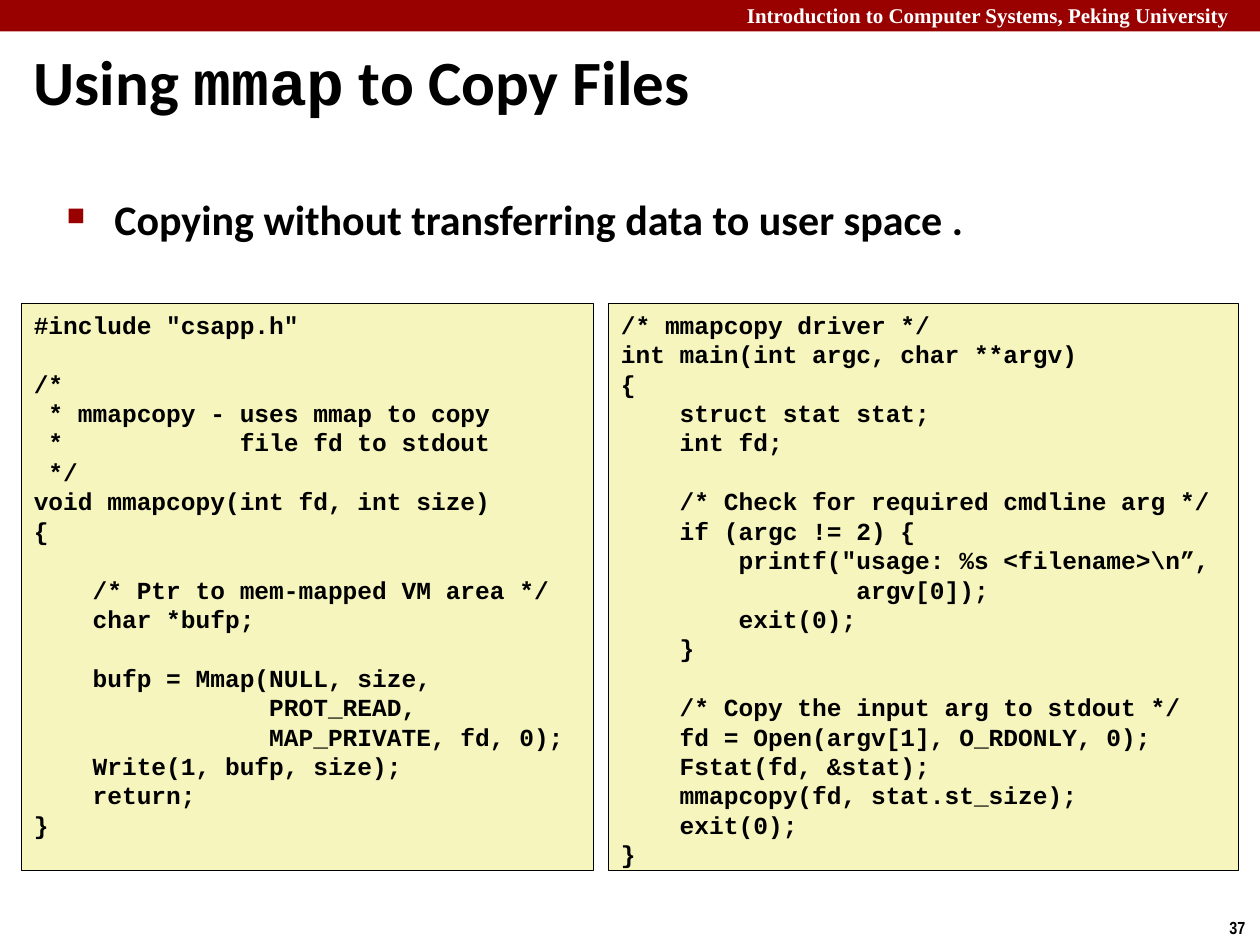
from lxml import etree
from pptx import Presentation
from pptx.dml.color import RGBColor
from pptx.enum.shapes import MSO_SHAPE
from pptx.enum.text import MSO_ANCHOR, MSO_AUTO_SIZE, PP_ALIGN
from pptx.oxml.ns import qn
from pptx.util import Inches, Pt

RECT = MSO_SHAPE.RECTANGLE
TOP, MIDDLE = MSO_ANCHOR.TOP, MSO_ANCHOR.MIDDLE
GROW = MSO_AUTO_SIZE.SHAPE_TO_FIT_TEXT
LEFT = PP_ALIGN.LEFT

RED = RGBColor(0x99, 0x00, 0x00)
CREAM = RGBColor(0xF6, 0xF5, 0xBD)
BLACK = RGBColor(0, 0, 0)
WHITE = RGBColor(0xFF, 0xFF, 0xFF)

SANS, MONO = "Calibri", "Courier New"

COPY = r"""#include "csapp.h"

/*
 * mmapcopy - uses mmap to copy
 *            file fd to stdout
 */
void mmapcopy(int fd, int size)
{

    /* Ptr to mem-mapped VM area */
    char *bufp;

    bufp = Mmap(NULL, size,
                PROT_READ,
                MAP_PRIVATE, fd, 0);
    Write(1, bufp, size);
    return;
}"""

DRIVER = r"""/* mmapcopy driver */
int main(int argc, char **argv)
{
    struct stat stat;
    int fd;

    /* Check for required cmdline arg */
    if (argc != 2) {
        printf("usage: %s <filename>\n”,
                argv[0]);
        exit(0);
    }

    /* Copy the input arg to stdout */
    fd = Open(argv[1], O_RDONLY, 0);
    Fstat(fd, &stat);
    mmapcopy(fd, stat.st_size);
    exit(0);
}"""


class Deck:
    def __init__(self):
        self.prs = Presentation()
        self.prs.slide_width = Inches(10)
        self.prs.slide_height = Inches(7.5)
        self.slide = self.prs.slides.add_slide(self.prs.slide_layouts[6])

    def rect(self, x, y, w, h, fill, line=None):
        box = self.slide.shapes.add_shape(
            RECT, Inches(x), Inches(y), Inches(w), Inches(h))
        box.shadow.inherit = False
        box.fill.solid()
        box.fill.fore_color.rgb = fill
        if line is None:
            box.line.fill.background()
        else:
            box.line.color.rgb = line
            box.line.width = Pt(0.75)
        return box

    def text(self, x, y, w, h, runs, size, color=BLACK, **frame):
        box = self.slide.shapes.add_textbox(
            Inches(x), Inches(y), Inches(w), Inches(h))
        for key, value in {"word_wrap": True, **frame}.items():
            setattr(box.text_frame, key, value)
        para = box.text_frame.paragraphs[0]
        for words, face in runs:
            self.run(para, words, face, size, color)
        return para

    def run(self, para, words, face, size, color=BLACK):
        run = para.add_run()
        run.text = words
        style = {"name": face, "size": Pt(size), "bold": True}
        for key, value in style.items():
            setattr(run.font, key, value)
        run.font.color.rgb = color

    def hang(self, para, depth):
        props = para._p.get_or_add_pPr()
        props.set("marL", str(Inches(depth)))
        props.set("indent", str(-Inches(depth)))
        return props

    def bullet(self, para, mark, color, scale):
        props = self.hang(para, 0.38)
        tint = etree.SubElement(props, qn("a:buClr"))
        etree.SubElement(tint, qn("a:srgbClr"), val=str(color))
        etree.SubElement(props, qn("a:buSzPct"), val=str(scale * 1000))
        etree.SubElement(props, qn("a:buChar"), char=mark)

    def code(self, x, y, w, h, source, size=14):
        frame = self.rect(x, y, w, h, CREAM, BLACK).text_frame
        frame.word_wrap = True
        frame.vertical_anchor = TOP
        for i, line in enumerate(source.split("\n")):
            para = frame.add_paragraph() if i else frame.paragraphs[0]
            para.alignment = LEFT
            para.line_spacing = 1.0
            self.hang(para, 0.24)
            if line:
                self.run(para, line, MONO, size)
            else:
                # An empty code line keeps the height of the others
                end = etree.SubElement(
                    para._p, qn("a:endParaRPr"), sz=str(size * 100), b="1")
                etree.SubElement(end, qn("a:latin"), typeface=MONO)


def main():
    deck = Deck()

    # Header band and page number
    deck.rect(0, 0, 10, 0.25, RED)
    deck.text(5.83, -0.03, 4.24, 0.3,
              [("Introduction to Computer Systems, Peking University",
                "Times New Roman")], 12, WHITE, auto_size=GROW)
    deck.text(9.66, 7.23, 0.34, 0.27, [("37", "Arial Narrow")], 10,
              word_wrap=False, auto_size=GROW)

    # Title
    title = deck.text(0.17, 0.35, 8.16, 0.66,
                      [("Using ", SANS), ("mmap", MONO),
                       (" to Copy Files", SANS)], 36,
                      vertical_anchor=MIDDLE)
    title.line_spacing = 0.87
    deck.hang(title, 0.13)

    # Code panels
    deck.code(0.17, 2.41, 4.54, 4.5, COPY)
    deck.code(4.83, 2.41, 5, 4.5, DRIVER)

    # Key point
    point = deck.text(
        0.43, 1.49, 9.4, 5.44,
        [("Copying without transferring data to user space .", SANS)], 24)
    deck.bullet(point, "■", RED, 60)

    deck.prs.save("out.pptx")


if __name__ == "__main__":
    main()
